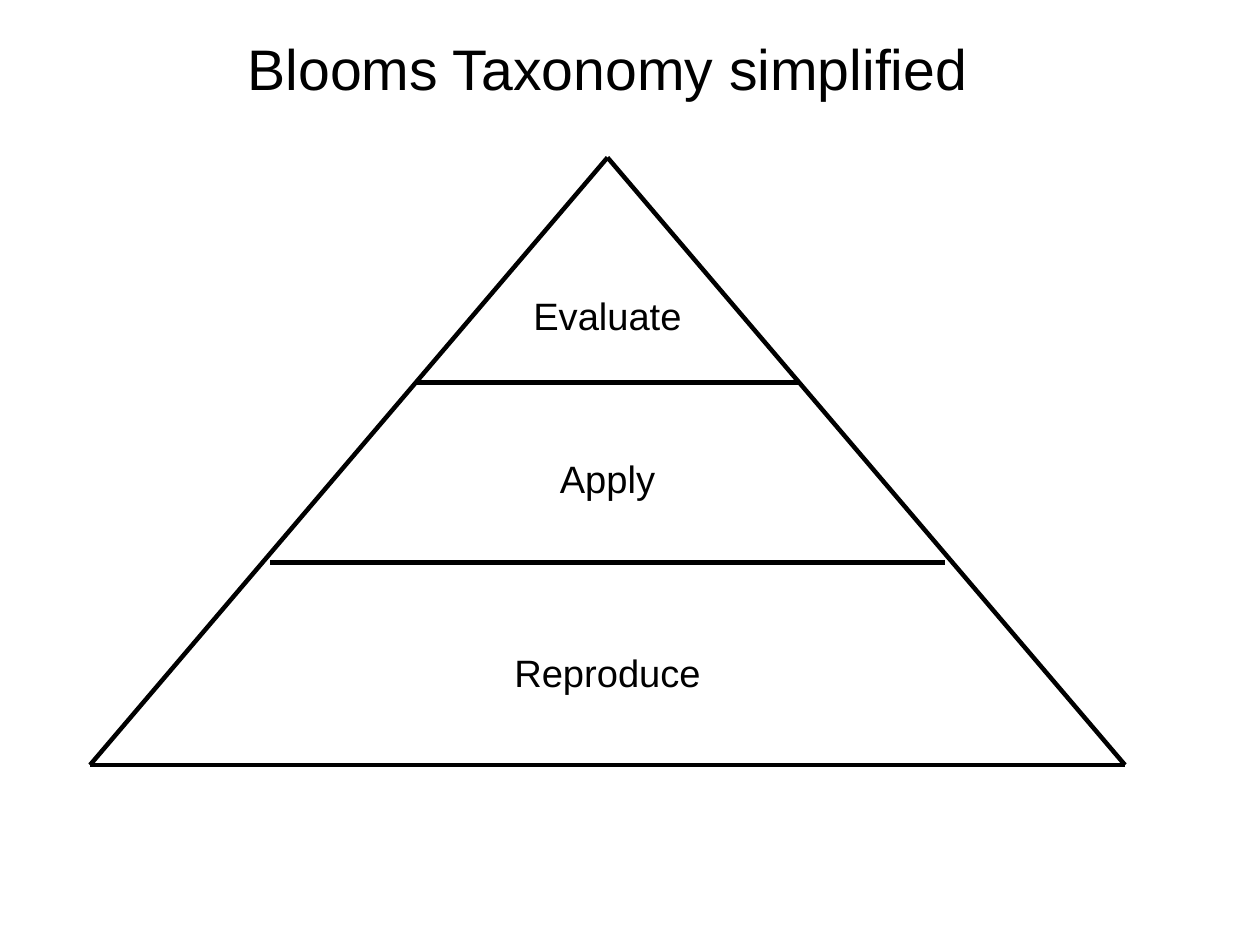
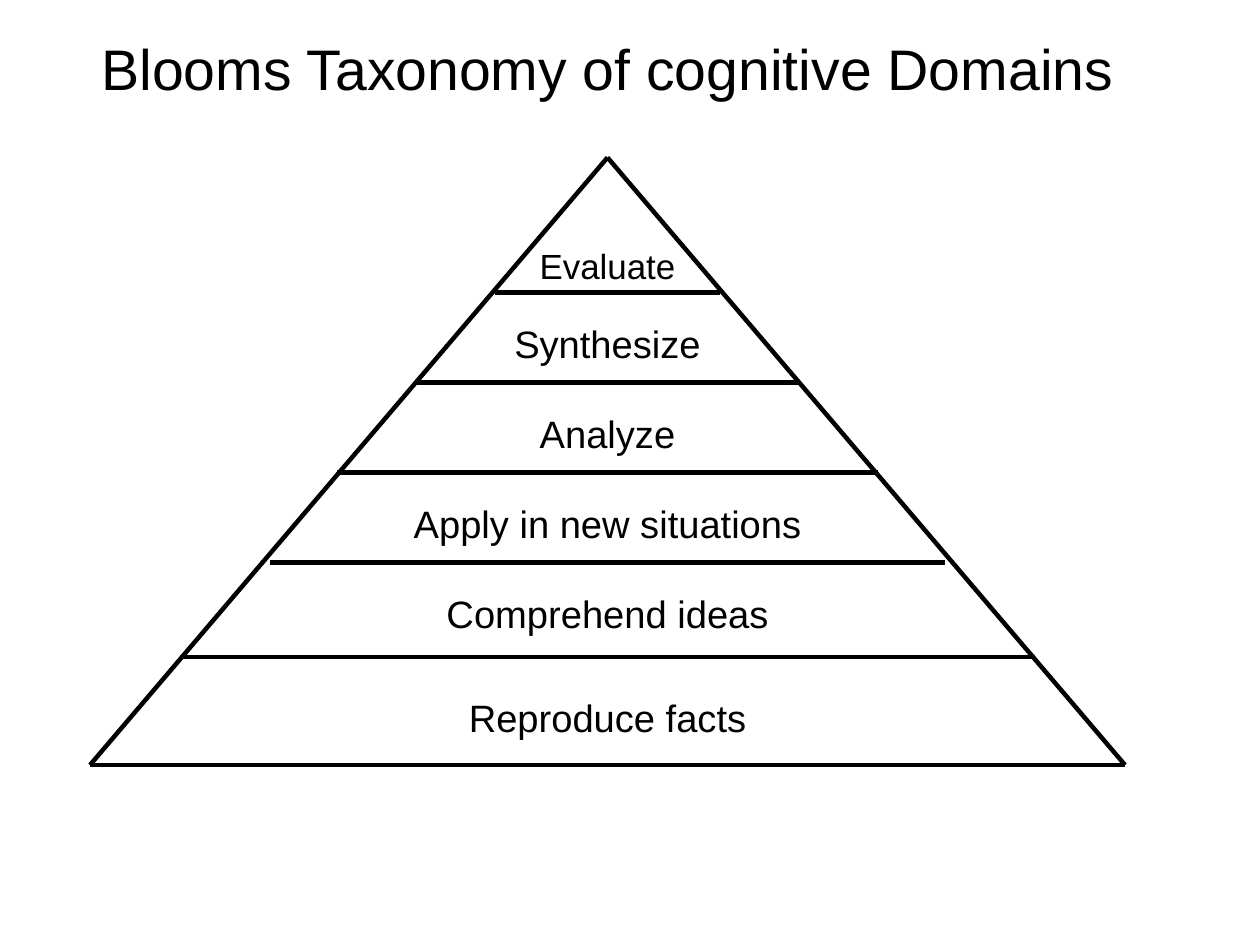
import pptx
import pptx.dml.color
import pptx.enum.shapes
import pptx.enum.text
import pptx.util
import lxml.etree
from pptx.oxml import ns

Cm = pptx.util.Cm
Pt = pptx.util.Pt
Align = pptx.enum.text.PP_ALIGN
Anchor = pptx.enum.text.MSO_ANCHOR

BLACK = pptx.dml.color.RGBColor(0, 0, 0)
WHITE = pptx.dml.color.RGBColor(255, 255, 255)
FONT = "Arial"
SLIDE_WIDTH, SLIDE_HEIGHT = 28, 21
TITLE_BOX = (0.9, 0.43, 25.2, 2.16)
PYRAMID_BOX = (2, 3.5, 23, 13.5)
LABEL_WIDTH, LABEL_HEIGHT = 10, 1.2
DIVIDER_WIDTHS = {3: 5, 5: 8.5, 7: 12, 9: 15, 11.1: 19}

SLIDES = [
    (
        "Blooms Taxonomy simplified",
        [5, 9],
        [("Evaluate", 2.87, 24), ("Apply", 6.5, 24), ("Reproduce", 10.8, 24)],
    ),
    (
        "Blooms Taxonomy of cognitive Domains",
        [3, 5, 7, 9, 11.1],
        [
            ("Evaluate", 1.8, 22),
            ("Synthesize", 3.5, 24),
            ("Analyze", 5.5, 24),
            ("Apply in new situations", 7.5, 24),
            ("Comprehend ideas", 9.5, 24),
            ("Reproduce facts", 11.8, 24),
        ],
    ),
]


def add_text(slide, text, box, size=24, anchor=Anchor.TOP, insets=(0.1, 0.05)):
    shape = slide.shapes.add_textbox(*(Cm(length) for length in box))
    frame = shape.text_frame
    frame.word_wrap = True
    frame.vertical_anchor = anchor
    frame.margin_left = frame.margin_right = pptx.util.Inches(insets[0])
    frame.margin_top = frame.margin_bottom = pptx.util.Inches(insets[1])
    paragraph = frame.paragraphs[0]
    paragraph.alignment = Align.CENTER
    run = paragraph.add_run()
    run.text = text
    run.font.name = FONT
    run.font.size = Pt(size)
    run.font.color.rgb = BLACK


def add_line(slide, start, end):
    line = slide.shapes.add_connector(
        pptx.enum.shapes.MSO_CONNECTOR.STRAIGHT,
        *(Cm(length) for length in (*start, *end)),
    )
    line.line.color.rgb = BLACK
    line.line.width = Pt(2.83)
    lxml.etree.SubElement(line._element.spPr, ns.qn("a:effectLst"))


def add_pyramid(slide, box, dividers, labels):
    left, top, width, height = box
    center = left + width / 2
    apex = (center, top)
    base_left = (left, top + height)
    base_right = (left + width, top + height)
    for start, end in [(apex, base_left), (base_left, base_right), (apex, base_right)]:
        add_line(slide, start, end)
    for depth in dividers:
        half = DIVIDER_WIDTHS[depth] / 2
        add_line(slide, (center - half, top + depth), (center + half, top + depth))
    for text, depth, size in labels:
        label_box = (center - LABEL_WIDTH / 2, top + depth, LABEL_WIDTH, LABEL_HEIGHT)
        add_text(slide, text, label_box, size=size)


def add_taxonomy_slide(presentation, title, dividers, labels):
    slide = presentation.slides.add_slide(presentation.slide_layouts[6])
    slide.background.fill.solid()
    slide.background.fill.fore_color.rgb = WHITE
    add_text(slide, title, TITLE_BOX, size=36, anchor=Anchor.MIDDLE, insets=(0, 0))
    add_pyramid(slide, PYRAMID_BOX, dividers, labels)


def main():
    presentation = pptx.Presentation()
    presentation.slide_width = Cm(SLIDE_WIDTH)
    presentation.slide_height = Cm(SLIDE_HEIGHT)
    for title, dividers, labels in SLIDES:
        add_taxonomy_slide(presentation, title, dividers, labels)
    presentation.save("out.pptx")


if __name__ == "__main__":
    main()
